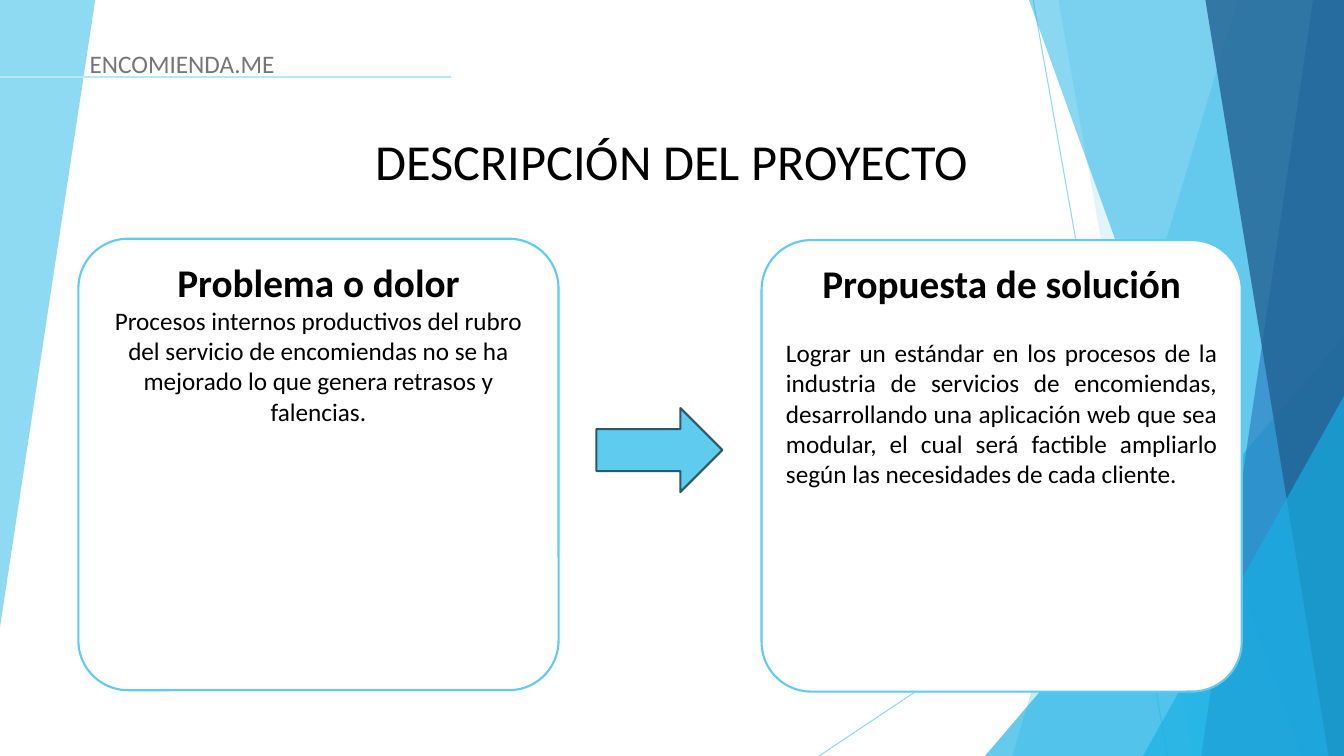
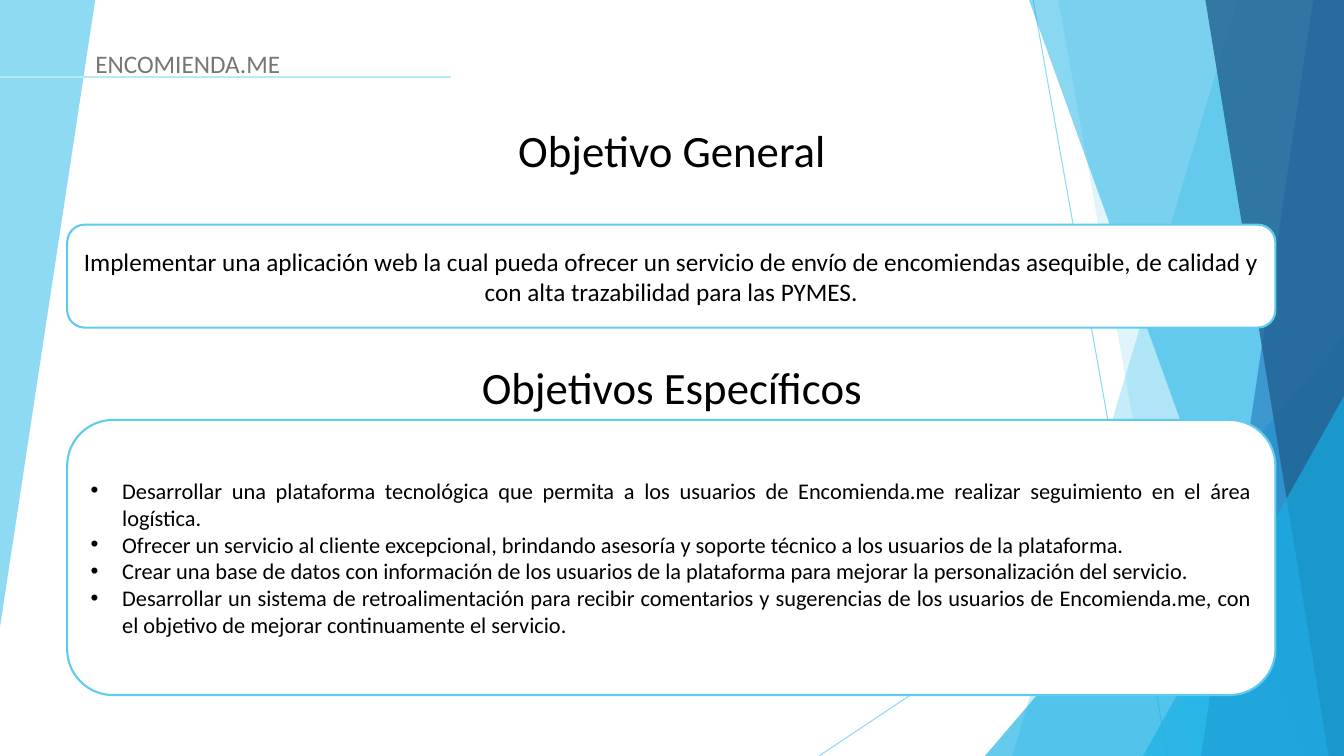
from lxml import etree
from pptx import Presentation
from pptx.dml.color import RGBColor
from pptx.enum import shapes, text
from pptx.oxml import ns
from pptx.util import Pt

WIDTH, HEIGHT = 960, 540
FONT = "Calibri"
COLORS = {
    "white": "FFFFFF",
    "black": "000000",
    "grey": "767676",
    "sky": "5FCBEF",
    "pale": "B7E8F8",
    "cyan": "17B0E4",
    "blue": "2E83C3",
    "navy": "226292",
    "edge": "2A5969",
}
SHAPE = shapes.MSO_SHAPE
ALIGN = text.PP_ALIGN
ANCHOR = text.MSO_ANCHOR


def color(name):
    return RGBColor.from_string(COLORS[name])


def points(*values):
    return [Pt(value) for value in values]


def set_opacity(shape, percent):
    for tint in shape.element.xpath("./p:spPr//a:srgbClr"):
        etree.SubElement(tint, ns.qn("a:alpha"), val=str(percent * 1000))


def paint(shape, fill, line=None, opacity=None):
    shape.shadow.inherit = False
    shape.fill.solid()
    shape.fill.fore_color.rgb = color(fill)
    if line:
        shape.line.color.rgb = color(line)
        shape.line.width = Pt(1.5)
    else:
        shape.line.fill.background()
    if opacity:
        set_opacity(shape, opacity)


def write(frame, content, size=18, tint="black", bold=False, align=ALIGN.CENTER,
          before=0, bullet=False):
    paragraph = frame.paragraphs[0]
    if paragraph.runs:
        paragraph = frame.add_paragraph()
    if bullet:
        properties = paragraph._p.get_or_add_pPr()
        properties.set("marL", str(Pt(22.5)))
        properties.set("indent", str(-Pt(22.5)))
        etree.SubElement(properties, ns.qn("a:buFont"), typeface="Arial")
        etree.SubElement(properties, ns.qn("a:buChar"), char="•")
    paragraph.alignment = align
    paragraph.space_before = Pt(before)
    run = paragraph.add_run()
    run.text = content
    run.font.name = FONT
    run.font.size = Pt(size)
    run.font.bold = bold
    run.font.color.rgb = color(tint)


def setup_frame(shape, anchor=ANCHOR.TOP):
    frame = shape.text_frame
    frame.word_wrap = True
    frame.auto_size = text.MSO_AUTO_SIZE.NONE
    frame.vertical_anchor = anchor
    return frame


def add_label(slide, content, box, **style):
    label = slide.shapes.add_textbox(*points(*box))
    write(setup_frame(label), content, **style)


def place(placeholder, box):
    (placeholder.left, placeholder.top,
     placeholder.width, placeholder.height) = points(*box)


def set_title(slide, content, top, size):
    title = slide.shapes.title
    place(title, (0, top, WIDTH, 51))
    write(setup_frame(title), content, size=size)


def add_card(slide, box, anchor=ANCHOR.TOP, rounding=0.17):
    card = slide.shapes.add_shape(SHAPE.ROUNDED_RECTANGLE, *points(*box))
    card.adjustments[0] = rounding
    paint(card, "white", "sky")
    return setup_frame(card, anchor)


def add_list(slide, items, box):
    body = slide.placeholders[1]
    place(body, box)
    outline = etree.SubElement(body.element.spPr, ns.qn("a:prstGeom"), prst="roundRect")
    etree.SubElement(outline, ns.qn("a:avLst"))
    body.fill.solid()
    body.fill.fore_color.rgb = color("white")
    body.line.color.rgb = color("sky")
    body.line.width = Pt(1.5)
    frame = setup_frame(body, ANCHOR.MIDDLE)
    for item in items:
        write(frame, item, size=16, align=ALIGN.JUSTIFY, bullet=True)


def add_rule(group, ends, tint="sky", width=0.75, opacity=None):
    rule = group.shapes.add_connector(shapes.MSO_CONNECTOR.STRAIGHT, *points(*ends))
    rule.line.color.rgb = color(tint)
    rule.line.width = Pt(width)
    etree.SubElement(rule.element.spPr, ns.qn("a:effectLst"))
    if opacity:
        set_opacity(rule, opacity)


def add_polygon(group, corners, tint, opacity):
    start, *rest = [points(*corner) for corner in corners]
    outline = group.shapes.build_freeform(*start)
    outline.add_line_segments(rest, close=True)
    paint(outline.convert_to_shape(), tint, opacity=opacity)


def add_ribbon(group, top_x, bottom_x, tint, opacity):
    corners = [(top_x, 0), (WIDTH, 0), (WIDTH, HEIGHT), (bottom_x, HEIGHT)]
    add_polygon(group, corners, tint, opacity)


def add_wedge(group, left, top):
    box = points(left, top, WIDTH - left, HEIGHT - top)
    wedge = group.shapes.add_shape(SHAPE.ISOSCELES_TRIANGLE, *box)
    wedge.adjustments[0] = 1
    paint(wedge, "cyan", opacity=66)


def build_backdrop(slide, master):
    group = slide.shapes.add_group_shape()
    add_polygon(group, [(0, 0), (68, 0), (0, 448)], "sky", 70)
    add_rule(group, (738, 0, 834, HEIGHT), opacity=70)
    add_rule(group, (WIDTH, 290, 585, HEIGHT), opacity=70)
    add_ribbon(group, 884, 723, "sky", 36)
    add_ribbon(group, 756, 852, "sky", 20)
    add_wedge(group, 703.5, 240)
    add_ribbon(group, 735, 929.5, "cyan", 50)
    add_ribbon(group, 938, 858, "blue", 70)
    add_ribbon(group, 861, 949, "navy", 80)
    add_wedge(group, 816.5, 283)
    add_rule(group, (0, 55, 322, 55), "pale", 1.25)
    for number, identity in enumerate(group.element.xpath(".//p:cNvPr"), 100):
        identity.set("id", str(number))
    master.shapes.element.append(group.element)


def add_header(slide, left):
    add_label(slide, "ENCOMIENDA.ME", (left, 31, 160, 29), tint="grey", align=ALIGN.LEFT)


def build_description(slide):
    add_header(slide, 57)
    set_title(slide, "DESCRIPCIÓN DEL PROYECTO", 89, 36)
    cards = [
        (56, 170.5, "Problema o dolor", ALIGN.CENTER, 0,
         "Procesos internos productivos del rubro del servicio de encomiendas no se ha "
         "mejorado lo que genera retrasos y falencias."),
        (544, 171.5, "Propuesta de solución", ALIGN.JUSTIFY, 22,
         "Lograr un estándar en los procesos de la industria de servicios de encomiendas, "
         "desarrollando una aplicación web que sea modular, el cual será factible ampliarlo "
         "según las necesidades de cada cliente."),
    ]
    for left, top, heading, align, gap, detail in cards:
        frame = add_card(slide, (left, top, 343, 322.5), rounding=0.11)
        write(frame, heading, size=28, bold=True)
        write(frame, detail, align=align, before=gap)
    arrow = slide.shapes.add_shape(SHAPE.RIGHT_ARROW, *points(426, 291.5, 90, 60))
    paint(arrow, "sky", "edge")


def build_objectives(slide):
    add_header(slide, 61)
    set_title(slide, "Objetivo General", 84, 32)
    add_label(slide, "Objetivos Específicos", (0, 253.5, WIDTH, 46), size=32)
    general = add_card(slide, (48, 160.5, 863, 73.5), ANCHOR.MIDDLE)
    write(general, "Implementar una aplicación web la cual pueda ofrecer un servicio de envío de "
                   "encomiendas asequible, de calidad y con alta trazabilidad para las PYMES.")
    add_list(slide, [
        "Desarrollar una plataforma tecnológica que permita a los usuarios de Encomienda.me "
        "realizar seguimiento en el área logística.",
        "Ofrecer un servicio al cliente excepcional, brindando asesoría y soporte técnico a "
        "los usuarios de la plataforma.",
        "Crear una base de datos con información de los usuarios de la plataforma para mejorar "
        "la personalización del servicio.",
        "Desarrollar un sistema de retroalimentación para recibir comentarios y sugerencias de "
        "los usuarios de Encomienda.me, con el objetivo de mejorar continuamente el servicio.",
    ], (48, 300, 863, 196.5))


def main():
    deck = Presentation()
    deck.slide_width, deck.slide_height = points(WIDTH, HEIGHT)
    content_layout, title_layout = deck.slide_layouts[1], deck.slide_layouts[5]
    description = deck.slides.add_slide(title_layout)
    build_backdrop(description, deck.slide_master)
    build_description(description)
    build_objectives(deck.slides.add_slide(content_layout))
    deck.save("out.pptx")


if __name__ == "__main__":
    main()
